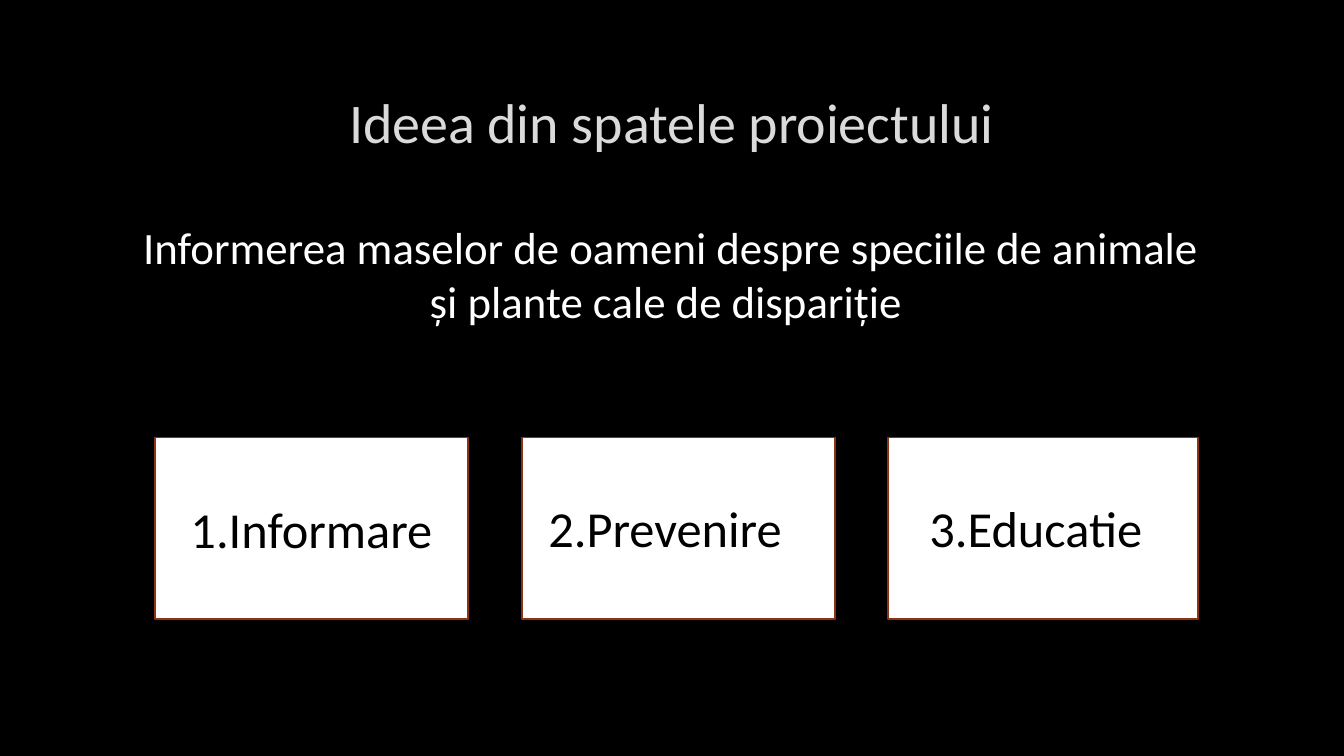
from pptx import Presentation
from pptx.dml.color import RGBColor
from pptx.enum.shapes import MSO_SHAPE
from pptx.enum.text import MSO_ANCHOR, PP_ALIGN
from pptx.util import Inches, Pt

RECT = MSO_SHAPE.RECTANGLE
TOP, MIDDLE = MSO_ANCHOR.TOP, MSO_ANCHOR.MIDDLE
LEFT, CENTER = PP_ALIGN.LEFT, PP_ALIGN.CENTER


def color(code):
    return RGBColor.from_string(code)


class Deck:
    """Hold the style and the current slide."""

    font = "Calibri"
    ink, paper, edge, pale = "000000", "FFFFFF", "8B3314", "DADADA"

    def __init__(self):
        self.prs = Presentation()
        self.prs.slide_width = Inches(13.33)
        self.prs.slide_height = Inches(7.5)
        self.slide = self.prs.slides.add_slide(self.prs.slide_layouts[6])
        fill = self.slide.background.fill
        fill.solid()
        fill.fore_color.rgb = color(self.ink)

    def put_text(self, shape, text, size, code, align, anchor):
        frame = shape.text_frame
        frame.word_wrap = True
        frame.vertical_anchor = anchor
        para = frame.paragraphs[0]
        para.text = text
        para.alignment = align
        para.font.name = self.font
        para.font.size = Pt(size)
        para.font.color.rgb = color(code)

    def label(self, box, text, size, code, align=CENTER, anchor=TOP):
        shape = self.slide.shapes.add_textbox(*map(Inches, box))
        self.put_text(shape, text, size, code, align, anchor)

    def card(self, box):
        shape = self.slide.shapes.add_shape(RECT, *map(Inches, box))
        shape.shadow.inherit = False
        shape.fill.solid()
        shape.fill.fore_color.rgb = color(self.paper)
        shape.line.color.rgb = color(self.edge)
        shape.line.width = Pt(1.25)
        return shape


def main():
    deck = Deck()
    deck.label((1, 0.67, 11.32, 1.06), "Ideea din spatele proiectului",
               40, deck.pale, anchor=MIDDLE)
    deck.label((1.15, 2.13, 11.01, 1.18),
               "Informerea maselor de oameni despre speciile de animale "
               "și plante cale de dispariție ", 32, deck.paper)

    first, second, third = [
        deck.card((left, 4.34, width, 1.8))
        for left, width in ((1.54, 3.1), (5.18, 3.1), (8.81, 3.07))
    ]
    deck.put_text(first, "1.Informare", 36, deck.ink, CENTER, MIDDLE)
    for left, width, text in ((5.34, 2.76, "2.Prevenire"),
                              (9.12, 2.61, "3.Educatie")):
        deck.label((left, 4.88, width, 0.71), text, 36, deck.ink, LEFT)

    deck.prs.save("out.pptx")


if __name__ == "__main__":
    main()
